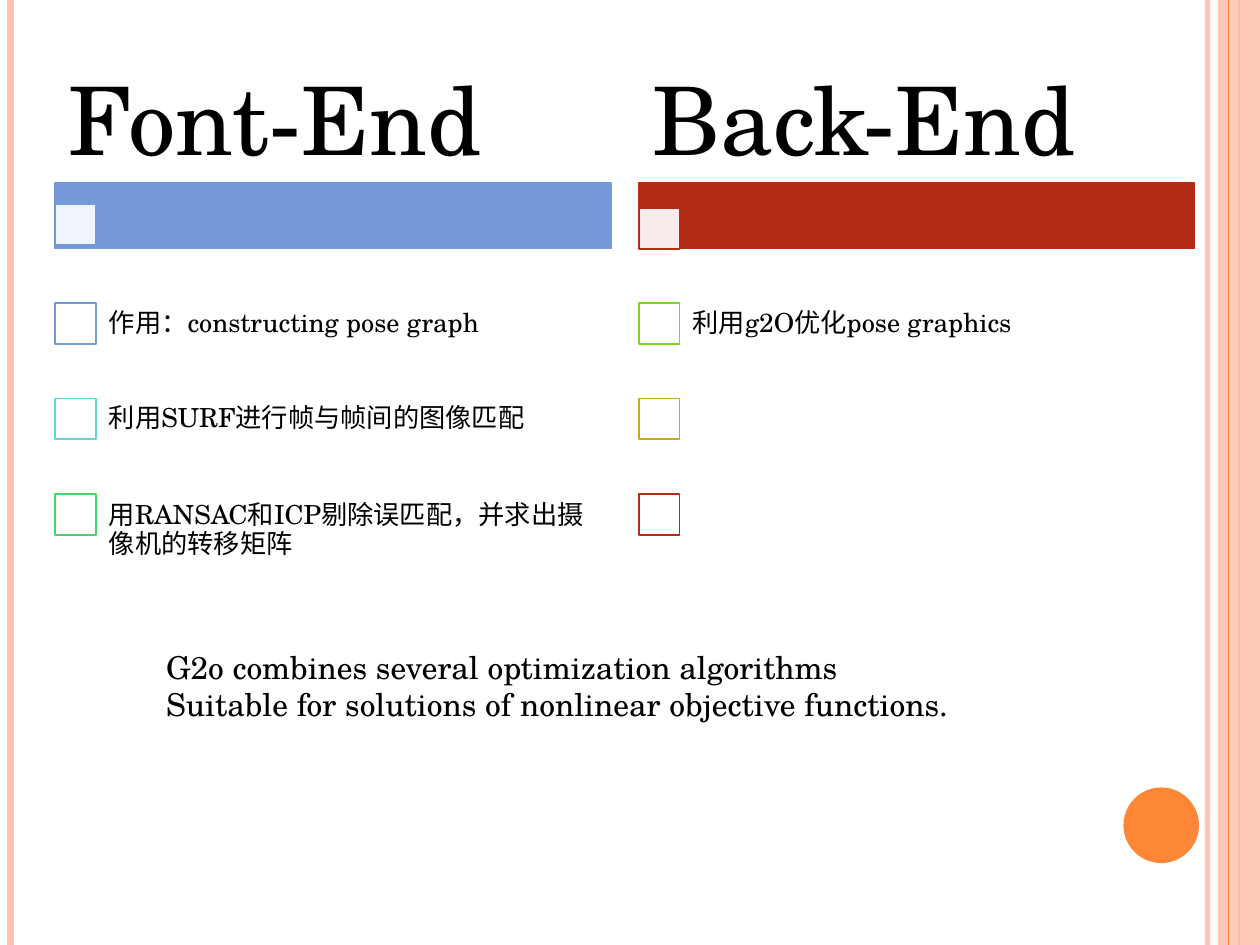
from lxml import etree
from pptx import Presentation
from pptx.dml.color import RGBColor
from pptx.enum import shapes, text
from pptx.oxml.ns import qn
from pptx.util import Pt

FONT = "TeX Gyre Schola"
BLACK = RGBColor(0x00, 0x00, 0x00)
WHITE = RGBColor(0xFF, 0xFF, 0xFF)
PEACH = RGBColor(0xFE, 0xC3, 0xAE)
ORANGE = RGBColor(0xFE, 0x86, 0x37)
BLUE = RGBColor(0x75, 0x98, 0xD9)
TURQUOISE = RGBColor(0x5C, 0xD8, 0xD1)
GREEN = RGBColor(0x42, 0xD7, 0x66)
RED = RGBColor(0xB3, 0x2C, 0x16)
LIME = RGBColor(0x77, 0xD8, 0x27)
GOLD = RGBColor(0xC6, 0xAB, 0x1E)

SLIDE_WIDTH, SLIDE_HEIGHT = 720, 540
MARKER = 23.3
ROW_PITCH = 54.6
ROW_HEIGHT = 54.6


def set_opacity(fill_owner, percent):
    """Make the solid colour inside an XML element partly transparent."""
    colour = next(fill_owner.iter(qn("a:srgbClr")))
    etree.SubElement(colour, qn("a:alpha"), val=str(percent * 1000))


def add_block(slide, kind, box, fill, outline=None, opacity=100):
    """Add a filled preset shape with an optional one-point outline."""
    block = slide.shapes.add_shape(kind, *map(Pt, box))
    block.shadow.inherit = False
    block.fill.solid()
    block.fill.fore_color.rgb = fill
    if opacity < 100:
        set_opacity(block._element.spPr, opacity)
    if outline is None:
        block.line.fill.background()
    else:
        block.line.color.rgb = outline
        block.line.width = Pt(1)


def add_stripe(slide, x, height, colour, width, opacity=100):
    """Add a vertical line running down the slide."""
    stripe = slide.shapes.add_connector(
        shapes.MSO_CONNECTOR.STRAIGHT, Pt(x), Pt(0), Pt(x), Pt(height))
    stripe.line.color.rgb = colour
    stripe.line.width = Pt(width)
    if opacity < 100:
        set_opacity(stripe.line._get_or_add_ln(), opacity)
    etree.SubElement(stripe._element.spPr, qn("a:effectLst"))


def add_text(slide, box, lines, size, insets, spacing=1.0,
             anchor=text.MSO_ANCHOR.MIDDLE):
    """Add a wrapped text box with one paragraph for each line."""
    frame = slide.shapes.add_textbox(*map(Pt, box)).text_frame
    frame.word_wrap = True
    frame.vertical_anchor = anchor
    frame.margin_left = frame.margin_right = Pt(insets[0])
    frame.margin_top = frame.margin_bottom = Pt(insets[1])
    for index, line in enumerate(lines):
        paragraph = frame.add_paragraph() if index else frame.paragraphs[0]
        paragraph.line_spacing = spacing
        run = paragraph.add_run()
        run.text = line
        run.font.name = FONT
        run.font.size = Pt(size)
        run.font.color.rgb = BLACK


def add_frame(slide, width, height):
    """Draw the striped borders and the circle at the lower right."""
    add_stripe(slide, width - 30, height, PEACH, 3, 93)
    add_stripe(slide, 6, height, PEACH, 4.5)
    add_stripe(slide, width - 12, height, ORANGE, 1.5)
    add_block(slide, shapes.MSO_SHAPE.RECTANGLE,
              (width - 24, 0, 24, height), PEACH, opacity=87)
    add_stripe(slide, width - 18, height, ORANGE, 0.75)
    add_block(slide, shapes.MSO_SHAPE.OVAL,
              (width - 78, height - 90, 43.2, 43.2), ORANGE)


def add_column(slide, box, heading, accent, marker_top, items):
    """Draw a heading, its bar and a list of (colour, wording, shift) items."""
    left, top, width = box
    square = shapes.MSO_SHAPE.RECTANGLE
    add_block(slide, square, (left, top + 67, width, 37.4), accent, accent)
    add_block(slide, square, (left, top + marker_top, MARKER, MARKER),
              WHITE, accent, 90)
    add_text(slide, (left, top, width, 67), [heading], 54, (7.9, 5.3), 0.9)
    for row, (colour, wording, shift) in enumerate(items):
        row_top = top + 120 + row * ROW_PITCH
        add_block(slide, square, (left, row_top + 15.6, MARKER, MARKER),
                  WHITE, colour)
        if wording:
            add_text(slide, (left + 22.3, row_top + shift, width - 22.3, ROW_HEIGHT),
                     [wording], 15, (8.5, 8.5), 0.9)


def add_summary(slide, box):
    """Write the closing remarks on g2o."""
    remarks = ["G2o combines several optimization algorithms",
               "Suitable for solutions of nonlinear objective functions."]
    add_text(slide, box, remarks, 18, (7.2, 3.6), anchor=text.MSO_ANCHOR.TOP)


def main():
    """Build and save the slide."""
    deck = Presentation()
    deck.slide_width, deck.slide_height = Pt(SLIDE_WIDTH), Pt(SLIDE_HEIGHT)
    slide = deck.slides.add_slide(deck.slide_layouts[6])
    add_frame(slide, SLIDE_WIDTH, SLIDE_HEIGHT)
    add_column(slide, (31.4, 37.6, 317.7), "Font-End", BLUE, 79.2, [
        (BLUE, "作用：constructing pose graph", 0),
        (TURQUOISE, "利用SURF进行帧与帧间的图像匹配", 0),
        (GREEN, "用RANSAC和ICP剔除误匹配，并求出摄像机的转移矩阵", 9),
    ])
    add_column(slide, (365, 37.6, 317.7), "Back-End", RED, 81.4, [
        (LIME, "利用g2O优化pose graphics", 0),
        (GOLD, "", 0),
        (RED, "", 0),
    ])
    add_summary(slide, (87.8, 366.5, 538.6, 51))
    deck.save("out.pptx")


if __name__ == "__main__":
    main()
